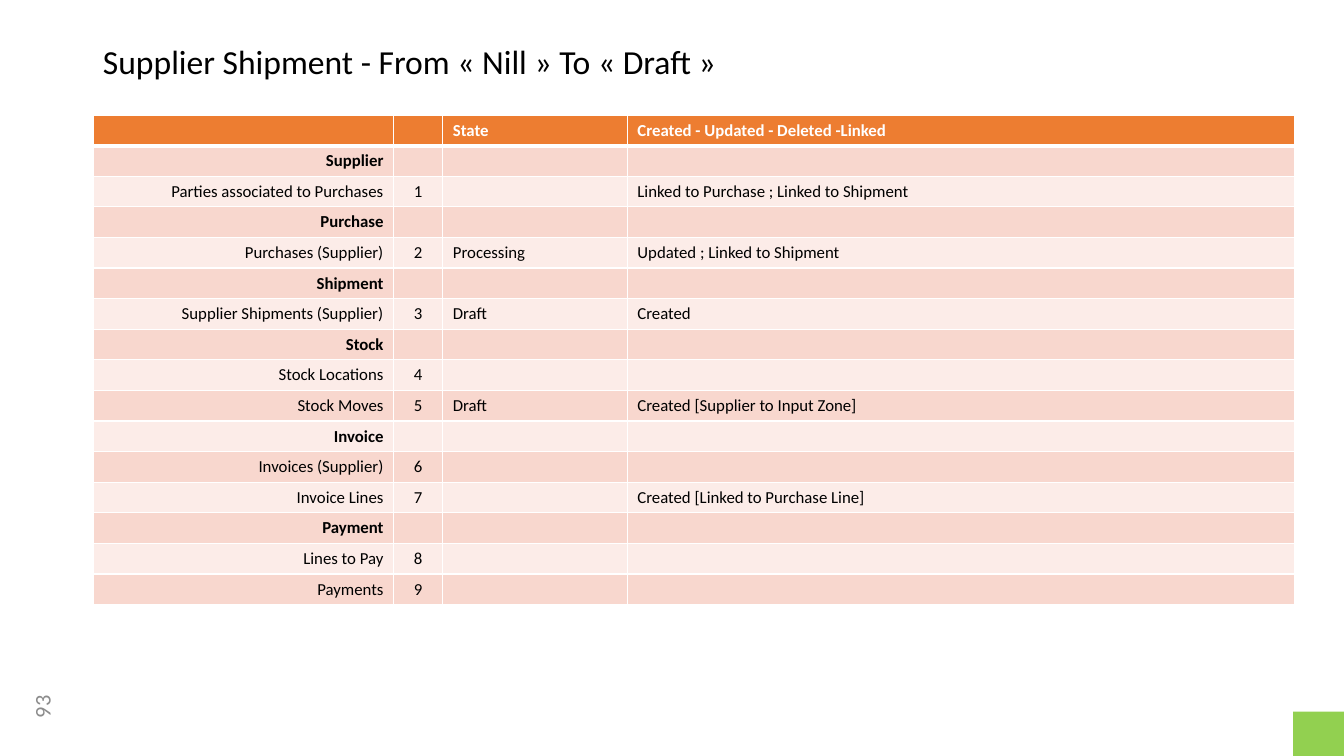
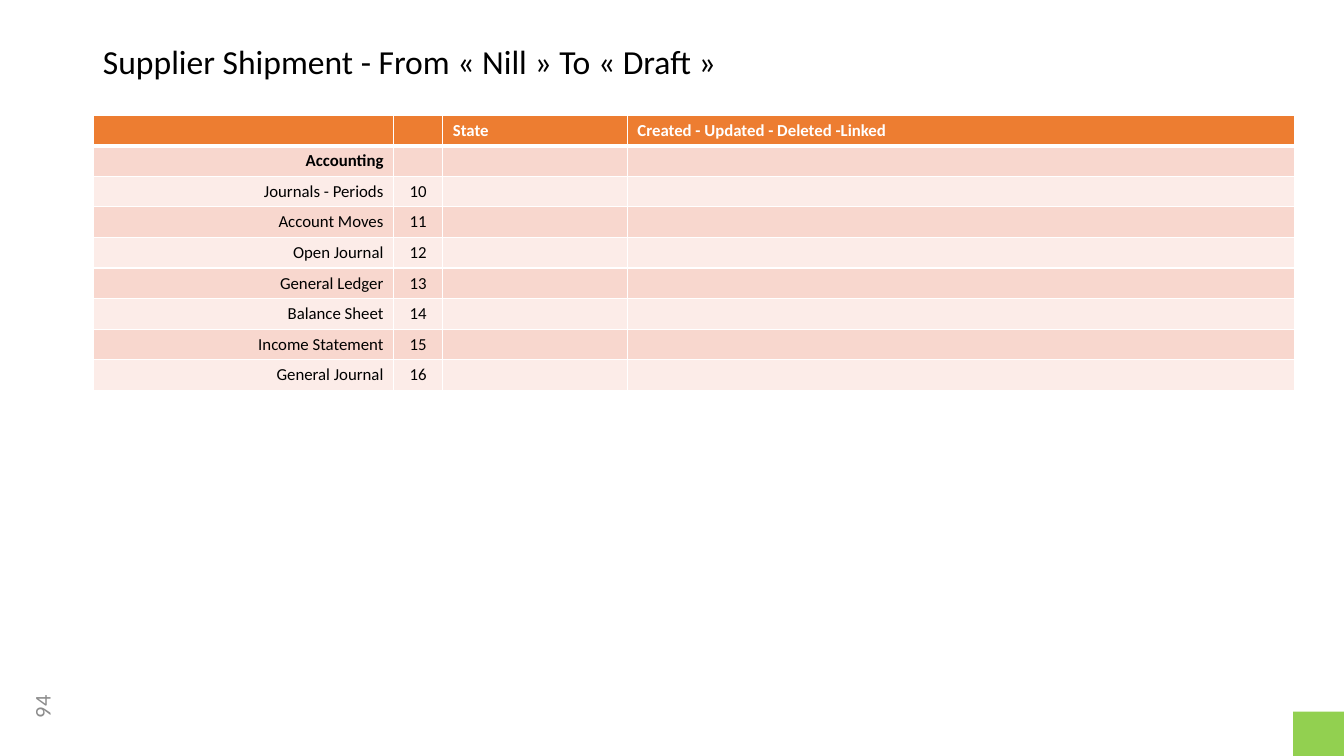
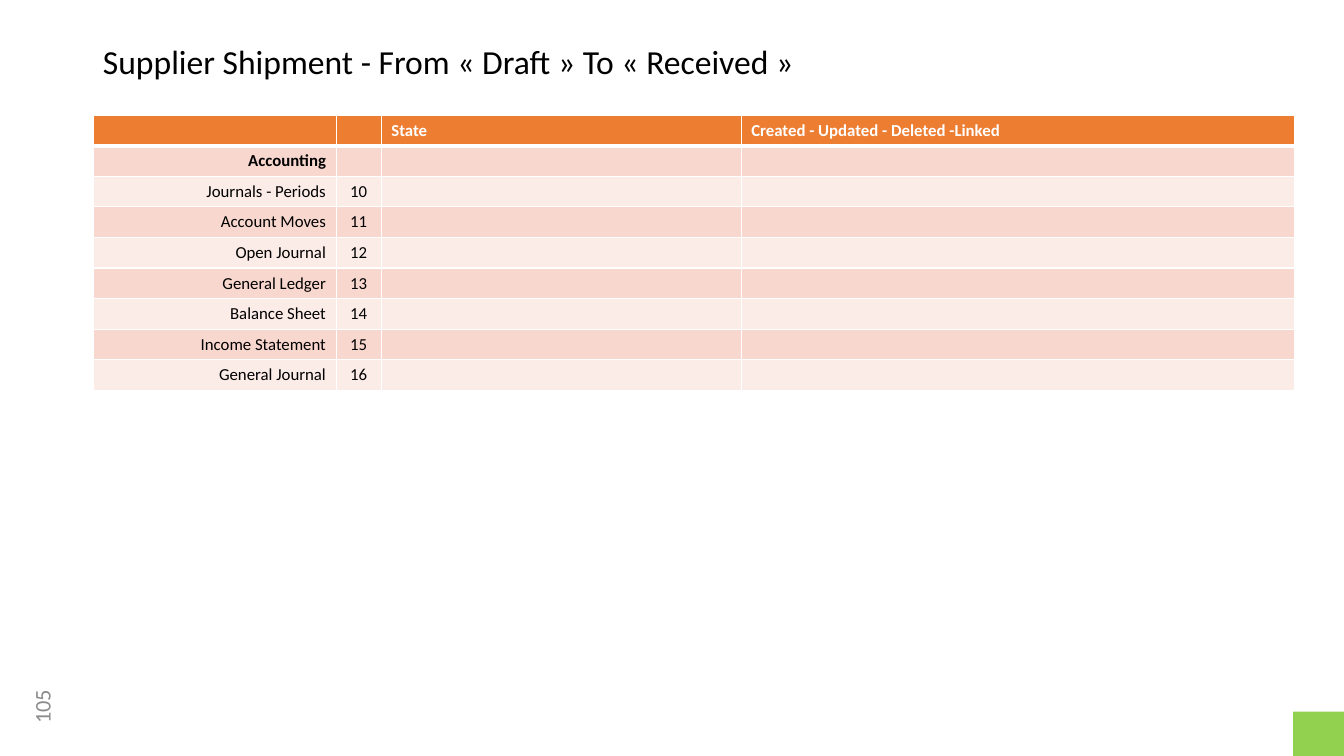
from itertools import count

from lxml import etree
from pptx import Presentation
from pptx.dml.color import RGBColor
from pptx.enum import shapes, text
from pptx.oxml.ns import qn
from pptx.util import Cm, Pt

FONT = "Calibri"
BLACK, WHITE, GREY = "000000", "FFFFFF", "8C8C8C"
ORANGE, GREEN = "ED7D31", "92D050"
BANDS = ("F8D7CE", "FCECE8")
LEFT, CENTER, RIGHT = text.PP_ALIGN.LEFT, text.PP_ALIGN.CENTER, text.PP_ALIGN.RIGHT

TABLE_LEFT, TABLE_TOP, ROW_HEIGHT = 2.35, 2.9, 0.76
COLUMN_ALIGNS = (RIGHT, CENTER, LEFT, LEFT)
HEADER = ("", "", "State", "Created - Updated - Deleted -Linked")
WIDE_CHANGES = (7.57, 1.24, 4.65, 16.82)
WIDE_STATE = (6.12, 1.14, 9.07, 13.94)

# Section -> its lines, each with an optional state and change
OPERATIONS = {
    "Supplier": [
        ("Parties associated to Purchases", "", "Linked to Purchase ; Linked to Shipment"),
    ],
    "Purchase": [
        ("Purchases (Supplier)", "Processing", "Updated ; Linked to Shipment"),
    ],
    "Shipment": [("Supplier Shipments (Supplier)", "Draft", "Created")],
    "Stock": [
        ("Stock Locations", "", ""),
        ("Stock Moves", "Draft", "Created [Supplier to Input Zone]"),
    ],
    "Invoice": [
        ("Invoices (Supplier)", "", ""),
        ("Invoice Lines", "", "Created [Linked to Purchase Line]"),
    ],
    "Payment": [("Lines to Pay", "", ""), ("Payments", "", "")],
}
ACCOUNTING = {
    "Accounting": [
        (label, "", "")
        for label in (
            "Journals - Periods", "Account Moves", "Open Journal", "General Ledger",
            "Balance Sheet", "Income Statement", "General Journal",
        )
    ],
}
NILL_TO_DRAFT = "Supplier Shipment - From « Nill » To « Draft »"
DRAFT_TO_RECEIVED = "Supplier Shipment - From « Draft » To « Received »"


def paint(fill, color):
    fill.solid()
    fill.fore_color.rgb = RGBColor.from_string(color)


def add_span(para, words, size, color, bold=False):
    span = para.add_run()
    span.text = words
    span.font.name = FONT
    span.font.size = Pt(size)
    span.font.bold = bold
    span.font.color.rgb = RGBColor.from_string(color)


def place(shape, left, top, width, height):
    shape.left, shape.top = Cm(left), Cm(top)
    shape.width, shape.height = Cm(width), Cm(height)


def add_title(page, words):
    title = page.shapes.title
    place(title, 2.34, 1.02, 29.21, 1.3)
    frame = title.text_frame
    frame.auto_size = text.MSO_AUTO_SIZE.NONE
    frame.vertical_anchor = text.MSO_ANCHOR.TOP
    para = frame.paragraphs[0]
    para.alignment = LEFT
    para.line_spacing = 0.9
    add_span(para, words, 24, BLACK)


def add_page_number(page, number):
    box = page.shapes.add_textbox(Cm(0.1), Cm(17.3), Cm(1.9), Cm(1.02))
    box.rotation = 270
    frame = box.text_frame
    frame.word_wrap = True
    frame.vertical_anchor = text.MSO_ANCHOR.MIDDLE
    para = frame.paragraphs[0]
    para.alignment = CENTER
    add_span(para, str(number), 16, GREY)


def add_corner(page):
    corner = page.shapes.add_shape(
        shapes.MSO_SHAPE.RECTANGLE, Cm(32.59), Cm(17.93), Cm(1.28), Cm(1.12))
    corner.shadow.inherit = False
    paint(corner.fill, GREEN)
    corner.line.fill.background()


def set_borders(cell, top=1, bottom=1):
    """Draw white cell borders; widths are in points."""
    properties = cell._tc.get_or_add_tcPr()
    for side, width in (("L", 1), ("R", 1), ("T", top), ("B", bottom)):
        line = etree.SubElement(properties, qn(f"a:ln{side}"), w=str(Pt(width)))
        fill = etree.SubElement(line, qn("a:solidFill"))
        etree.SubElement(fill, qn("a:srgbClr"), val=WHITE)


def fill_cell(cell, words, align, color, bold):
    para = cell.text_frame.paragraphs[0]
    para.alignment = align
    if words:
        add_span(para, words, 12, color, bold)
    else:
        # An empty cell needs its own text size, or the row grows
        etree.SubElement(para._p, qn("a:endParaRPr"), sz="1200")


def table_rows(sections, first_number):
    """Return the header, then each section name and its numbered lines."""
    numbers = count(first_number)
    rows = [HEADER]
    for section, lines in sections.items():
        rows.append((section, "", "", ""))
        rows += [(label, str(next(numbers)), state, change)
                 for label, state, change in lines]
    return rows


def add_state_table(page, sections, first_number, widths):
    rows = table_rows(sections, first_number)
    table = page.shapes.add_table(
        len(rows), len(widths), Cm(TABLE_LEFT), Cm(TABLE_TOP),
        Cm(sum(widths)), Cm(ROW_HEIGHT * len(rows))).table
    for column, width in zip(table.columns, widths):
        column.width = Cm(width)
    for index, values in enumerate(rows):
        table.rows[index].height = Cm(ROW_HEIGHT)
        is_header = index == 0
        bold = is_header or not values[1]
        for column, (words, align) in enumerate(zip(values, COLUMN_ALIGNS)):
            cell = table.cell(index, column)
            set_borders(cell, top=3 if index == 1 else 1, bottom=3 if is_header else 1)
            paint(cell.fill, ORANGE if is_header else BANDS[(index - 1) % 2])
            fill_cell(cell, words, align, WHITE if is_header else BLACK, bold)


def add_page(deck, title, number, sections, first_number, widths):
    page = deck.slides.add_slide(deck.slide_layouts.get_by_name("Title Only"))
    add_title(page, title)
    add_state_table(page, sections, first_number, widths)
    add_page_number(page, number)
    add_corner(page)


def main():
    deck = Presentation()
    deck.slide_width, deck.slide_height = Cm(33.87), Cm(19.05)
    add_page(deck, NILL_TO_DRAFT, 93, OPERATIONS, 1, WIDE_CHANGES)
    add_page(deck, NILL_TO_DRAFT, 94, ACCOUNTING, 10, WIDE_CHANGES)
    add_page(deck, DRAFT_TO_RECEIVED, 105, ACCOUNTING, 10, WIDE_STATE)
    deck.save("out.pptx")


if __name__ == "__main__":
    main()
